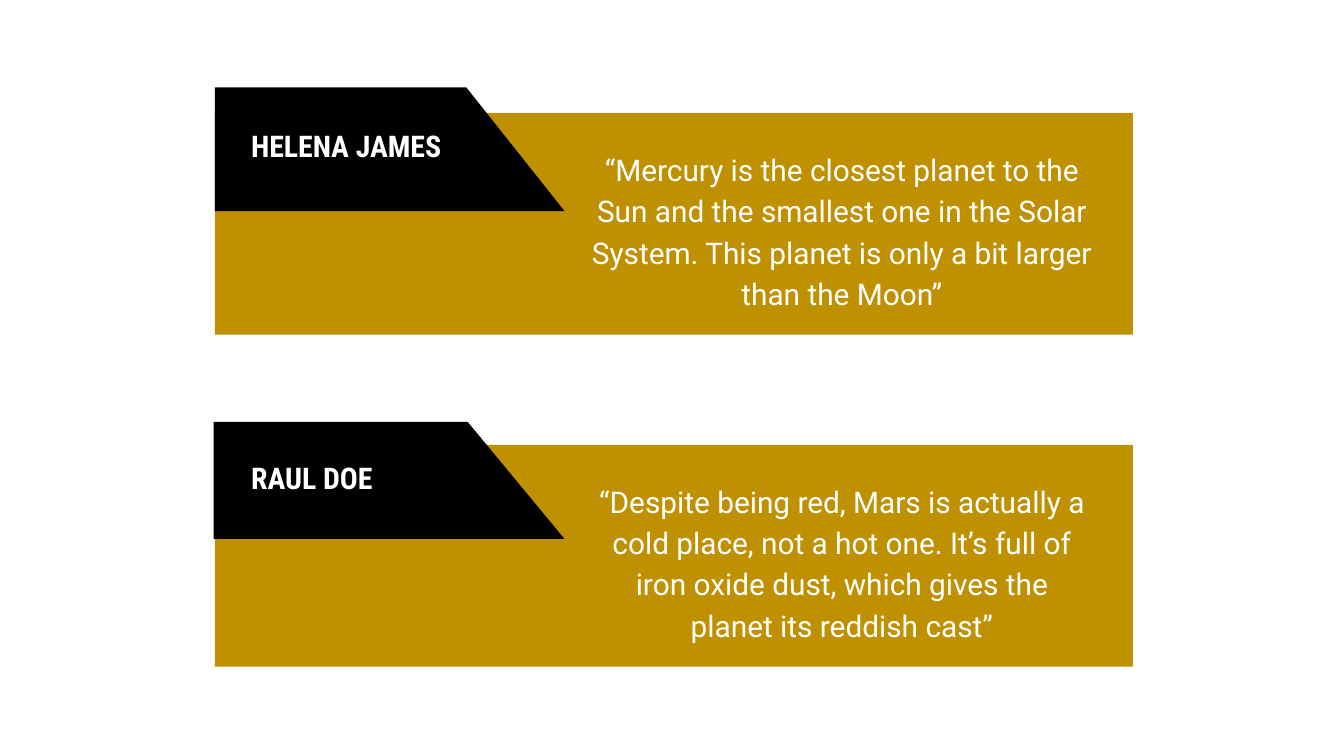
from pptx import Presentation
from pptx import util as u
from pptx.dml.color import RGBColor
from pptx.enum import shapes, text

COLORS = {"card": "BF9000", "tab": "000000", "text": "FFFFFF"}
CELL = u.Inches(0.01)  # the slide is a fine grid of square cells
COLUMNS = 1000
ROWS = COLUMNS * 9 / 16

CARD_LEFT, CARD_WIDTH, CARD_HEIGHT = 160, 683, 165
FIRST_CARD_TOP, CARD_PITCH = 84, 247

# Name, quote, and the tab's left, top, slant start and bottom
TESTIMONIALS = [
    ("HELENA JAMES",
     "“Mercury is the closest planet to the Sun and the smallest one in the "
     "Solar System. This planet is only a bit larger than the Moon”",
     (160, 65, 347, 157)),
    ("RAUL DOE",
     "“Despite being red, Mars is actually a cold place, not a hot one. It’s "
     "full of iron oxide dust, which gives the planet its reddish cast”",
     (159, 314, 348, 401)),
]
TAB_TIP = 420


def cells(*counts):
    return [int(count * CELL) for count in counts]


def paint(shape, color):
    shape.shadow.inherit = False
    shape.fill.solid()
    shape.fill.fore_color.rgb = RGBColor.from_string(COLORS[color])
    shape.line.fill.background()


def write(shape, words, font_name, align, margins, bold=False):
    frame = shape.text_frame
    frame.word_wrap = True
    frame.vertical_anchor = text.MSO_ANCHOR.TOP
    (frame.margin_left, frame.margin_top,
     frame.margin_right, frame.margin_bottom) = cells(*margins)
    para = frame.paragraphs[0]
    para.text = words
    para.alignment = align
    para.font.name = font_name
    para.font.size = u.Pt(16)
    para.font.bold = bold
    para.font.color.rgb = RGBColor.from_string(COLORS["text"])
    return para


def add_card(page, top, quote):
    card = page.shapes.add_shape(
        shapes.MSO_SHAPE.RECTANGLE,
        *cells(CARD_LEFT, top, CARD_WIDTH, CARD_HEIGHT))
    paint(card, "card")
    para = write(card, quote, "Roboto", text.PP_ALIGN.CENTER, (280, 25, 30, 10))
    para.line_spacing = 1.15


def add_tab(page, left, top, slant, bottom):
    builder = page.shapes.build_freeform(left, top, scale=CELL)
    builder.add_line_segments(
        [(left, bottom), (TAB_TIP, bottom), (slant, top)], close=True)
    paint(builder.convert_to_shape(), "tab")


def add_name(page, top, name):
    box = page.shapes.add_textbox(*cells(CARD_LEFT + 17, top, 170, 52))
    write(box, name, "Roboto Condensed", text.PP_ALIGN.LEFT,
          (10, 10, 10, 10), bold=True)


def main():
    deck = Presentation()
    deck.slide_width, deck.slide_height = cells(COLUMNS, ROWS)
    page = deck.slides.add_slide(deck.slide_layouts[6])

    # One card per speaker: quote, slanted tab, name on the tab
    for index, (name, quote, tab) in enumerate(TESTIMONIALS):
        top = FIRST_CARD_TOP + index * CARD_PITCH
        add_card(page, top, quote)
        add_tab(page, *tab)
        add_name(page, top + 1, name)

    deck.save("out.pptx")


if __name__ == "__main__":
    main()
